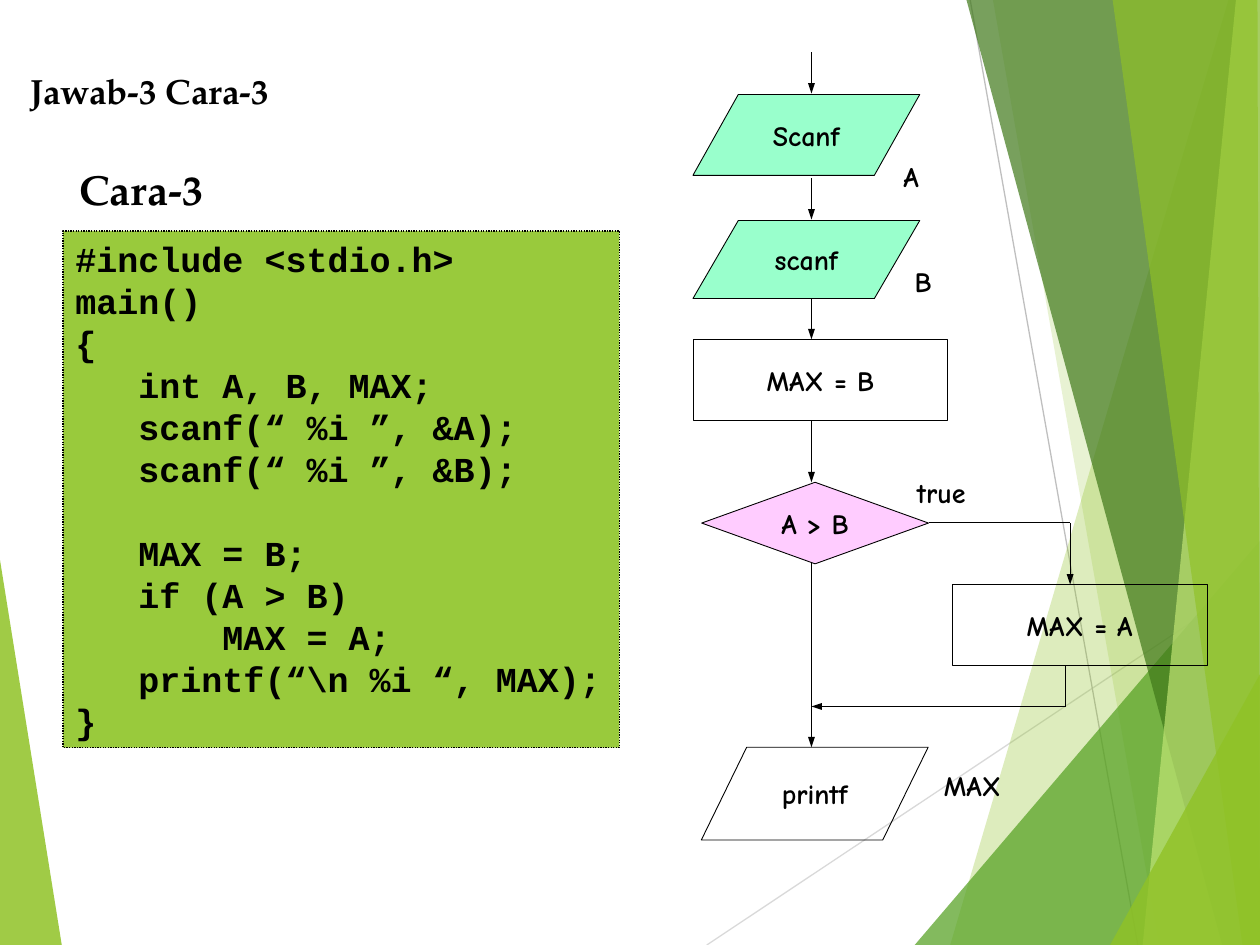
from typing import NamedTuple, Optional

from pptx import Presentation
from pptx.dml.color import RGBColor
from pptx.enum.dml import MSO_LINE
from pptx.enum.shapes import MSO_CONNECTOR, MSO_SHAPE as SHAPE
from pptx.enum.text import MSO_ANCHOR as ANCHOR, MSO_AUTO_SIZE as AUTO, PP_ALIGN as ALIGN
from pptx.oxml.ns import qn
from pptx.util import Pt
from lxml.etree import SubElement

W, H = 720, 540
FLOW_X = 463.7  # centre line of the flow chart
BRANCH_Y = 298.8
JOIN_Y = 403.7
BLACK, MINT, PINK, LIME = "000000", "99FFCC", "FFCCFF", "99CA3C"


class Facet(NamedTuple):
    color: str
    opacity: int
    points: list


class Node(NamedTuple):
    text: str
    kind: SHAPE
    box: tuple
    fill: Optional[str] = None


class Label(NamedTuple):
    text: str
    box: tuple
    fmt: dict


class Line(NamedTuple):
    start: tuple
    end: tuple
    arrow: bool = True
    color: str = BLACK
    width: float = 0.5


FLOW_FONT = dict(name="Comic Neue", size=Pt(16), bold=True)
CODE_FONT = dict(name="Courier New", size=Pt(20), bold=True)
TITLE_FONT = dict(name="TeX Gyre Pagella", size=Pt(20), bold=True)
HEAD_FONT = {**TITLE_FONT, "size": Pt(24)}

RIGHT_EDGE = [(W, H), (W, 0)]
FACETS = [
    Facet("90C226", 85, [(0, 320), (35.3, H), (0, H)]),
    Facet("90C226", 30, [(702, 0), (543, H), *RIGHT_EDGE]),
    Facet("90C226", 20, [(567.4, 0), (662.4, H), *RIGHT_EDGE]),
    Facet("54A021", 72, [(522.7, H), (W, 309), (W, H)]),
    Facet("3F7819", 70, [(552.3, 0), (698.4, H), *RIGHT_EDGE]),
    Facet("C0E474", 70, [(706.3, 0), (653, H), *RIGHT_EDGE]),
    Facet("90C226", 65, [(635.8, 0), (710, H), (W, H), (718.6, 0)]),
    Facet("90C226", 80, [(634.3, H), (W, 385.2), (W, H)]),
]
FACET_LINES = [
    Line((403.9, H), (W, 329.5), False, "D9D9D9", 0.75),
    Line((554.4, 0), (650.2, H), False, "BFBFBF", 0.75),
]

NODES = [
    Node("Scanf", SHAPE.FLOWCHART_DATA, (396, 54, 129.6, 46.2), MINT),
    Node("scanf", SHAPE.FLOWCHART_DATA, (396, 126, 129.6, 44.6), MINT),
    Node("MAX = B", SHAPE.RECTANGLE, (396, 193.9, 145.6, 46.4)),
    Node("A > B", SHAPE.FLOWCHART_DECISION, (401, 275.6, 129.6, 46.6), PINK),
    Node("MAX = A", SHAPE.RECTANGLE, (544.2, 334, 145.6, 46.4)),
    Node("printf", SHAPE.FLOWCHART_DATA, (400.8, 427, 129.6, 53)),
]
# Vertical arrows down the centre line, as (top, bottom)
STEPS = [(30, 53.5), (102, 125.5), (170.6, 193.9), (240.3, 275.6), (322, 427)]
FLOW_LINES = [Line((FLOW_X, a), (FLOW_X, b)) for a, b in STEPS] + [
    Line((530.6, BRANCH_Y), (611.5, BRANCH_Y), False),
    Line((611.5, BRANCH_Y), (611.5, 334)),
    Line((609.1, 380.4), (609.1, JOIN_Y), False),
    Line((609.1, JOIN_Y), (FLOW_X, JOIN_Y)),
]
LABELS = [
    Label("A", (509.2, 87.5, 24, 26.6), FLOW_FONT),
    Label("B", (515.6, 147.6, 25, 26.6), FLOW_FONT),
    Label("true", (516.9, 268.2, 46, 26.6), FLOW_FONT),
    Label("MAX", (532.3, 435.6, 50, 26.6), FLOW_FONT),
    Label("Cara-3", (38.3, 90, 94, 36), HEAD_FONT),
]

CODE = """#include <stdio.h>
main()
{
   int A, B, MAX;
   scanf(“ %i ”, &A);
   scanf(“ %i ”, &B);
   
   MAX = B;
   if (A > B)
       MAX = A;
   printf(“\\n %i “, MAX);
}"""


def rgb(color: str) -> RGBColor:
    return RGBColor.from_string(color)


def pts(values: tuple) -> list:
    return [Pt(v) for v in values]


def write(sp, text: str, fmt: dict, align=ALIGN.LEFT, anchor=ANCHOR.TOP,
          wrap: bool = False, auto=AUTO.SHAPE_TO_FIT_TEXT) -> None:
    tf = sp.text_frame
    frame = dict(word_wrap=wrap, auto_size=auto, vertical_anchor=anchor,
                 margin_left=Pt(7.2), margin_right=Pt(7.2),
                 margin_top=Pt(3.6), margin_bottom=Pt(3.6))
    for key, value in frame.items():
        setattr(tf, key, value)
    for i, line in enumerate(text.split("\n")):
        p = tf.add_paragraph() if i else tf.paragraphs[0]
        p.alignment = align
        r = p.add_run()
        r.text = line
        for key, value in fmt.items():
            setattr(r.font, key, value)
        r.font.color.rgb = rgb(BLACK)


def paint(sp, fill: Optional[str], width: float) -> None:
    sp.shadow.inherit = False
    if fill:
        sp.fill.solid()
        sp.fill.fore_color.rgb = rgb(fill)
    else:
        sp.fill.background()
    sp.line.color.rgb = rgb(BLACK)
    sp.line.width = Pt(width)


def draw_facet(s, facet: Facet) -> None:
    first, *rest = [pts(point) for point in facet.points]
    builder = s.shapes.build_freeform(*first)
    builder.add_line_segments(rest, close=True)
    sp = builder.convert_to_shape()
    paint(sp, facet.color, 0)
    sp.line.fill.background()
    color = sp.fill._xPr.find(qn("a:solidFill"))[0]
    SubElement(color, qn("a:alpha"), val=str(facet.opacity * 1000))


def draw_line(s, line: Line) -> None:
    cx = s.shapes.add_connector(MSO_CONNECTOR.STRAIGHT, *pts(line.start), *pts(line.end))
    cx.line.color.rgb = rgb(line.color)
    cx.line.width = Pt(line.width)
    if line.arrow:
        SubElement(cx.line._get_or_add_ln(), qn("a:tailEnd"), type="triangle", w="sm", len="med")
    SubElement(cx._element.spPr, qn("a:effectLst"))


def draw_node(s, node: Node) -> None:
    sp = s.shapes.add_shape(node.kind, *pts(node.box))
    paint(sp, node.fill, 0.5)
    write(sp, node.text, FLOW_FONT, ALIGN.CENTER, ANCHOR.MIDDLE, auto=AUTO.NONE)


def main() -> None:
    prs = Presentation()
    prs.slide_width, prs.slide_height = pts((W, H))
    s = prs.slides.add_slide(prs.slide_layouts[5])

    # Decorative facets
    for facet in FACETS[:1]:
        draw_facet(s, facet)
    for line in FACET_LINES:
        draw_line(s, line)
    for facet in FACETS[1:]:
        draw_facet(s, facet)

    # Title
    title = s.shapes.title
    title.left, title.top, title.width, title.height = pts((10, 36, 164.2, 31.7))
    write(title, "Jawab-3 Cara-3", TITLE_FONT)

    # Flow chart; labels keep their width so that each stays on one line
    for node in NODES:
        draw_node(s, node)
    for line in FLOW_LINES:
        draw_line(s, line)
    for label in LABELS:
        sp = s.shapes.add_textbox(*pts(label.box))
        write(sp, label.text, label.fmt, wrap=True, auto=AUTO.NONE)

    # Program listing
    code = s.shapes.add_shape(SHAPE.RECTANGLE, *pts((36, 132, 318, 295.2)))
    paint(code, LIME, 0.75)
    code.line.dash_style = MSO_LINE.ROUND_DOT
    write(code, CODE, CODE_FONT, wrap=True)

    prs.save("out.pptx")


if __name__ == "__main__":
    main()
